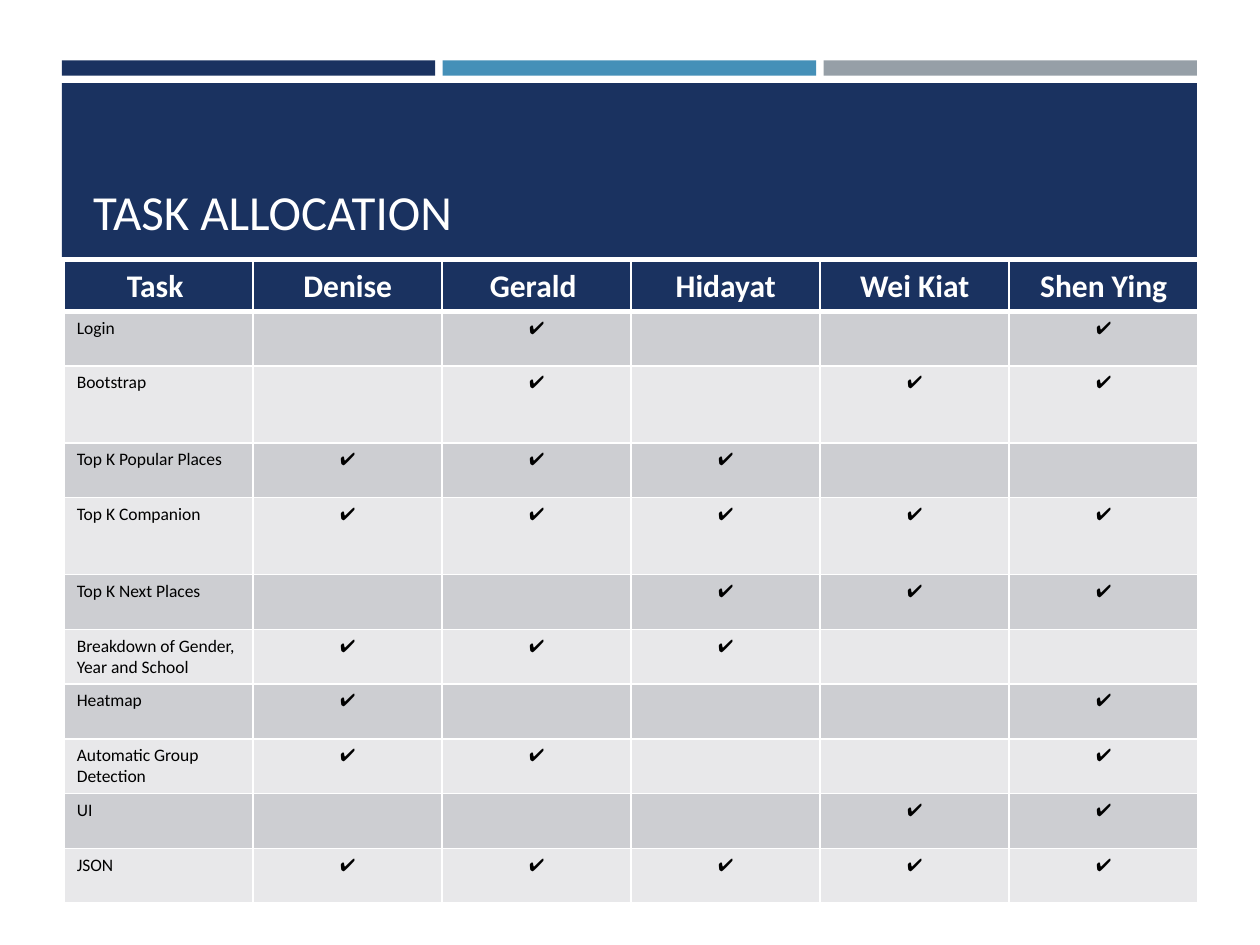
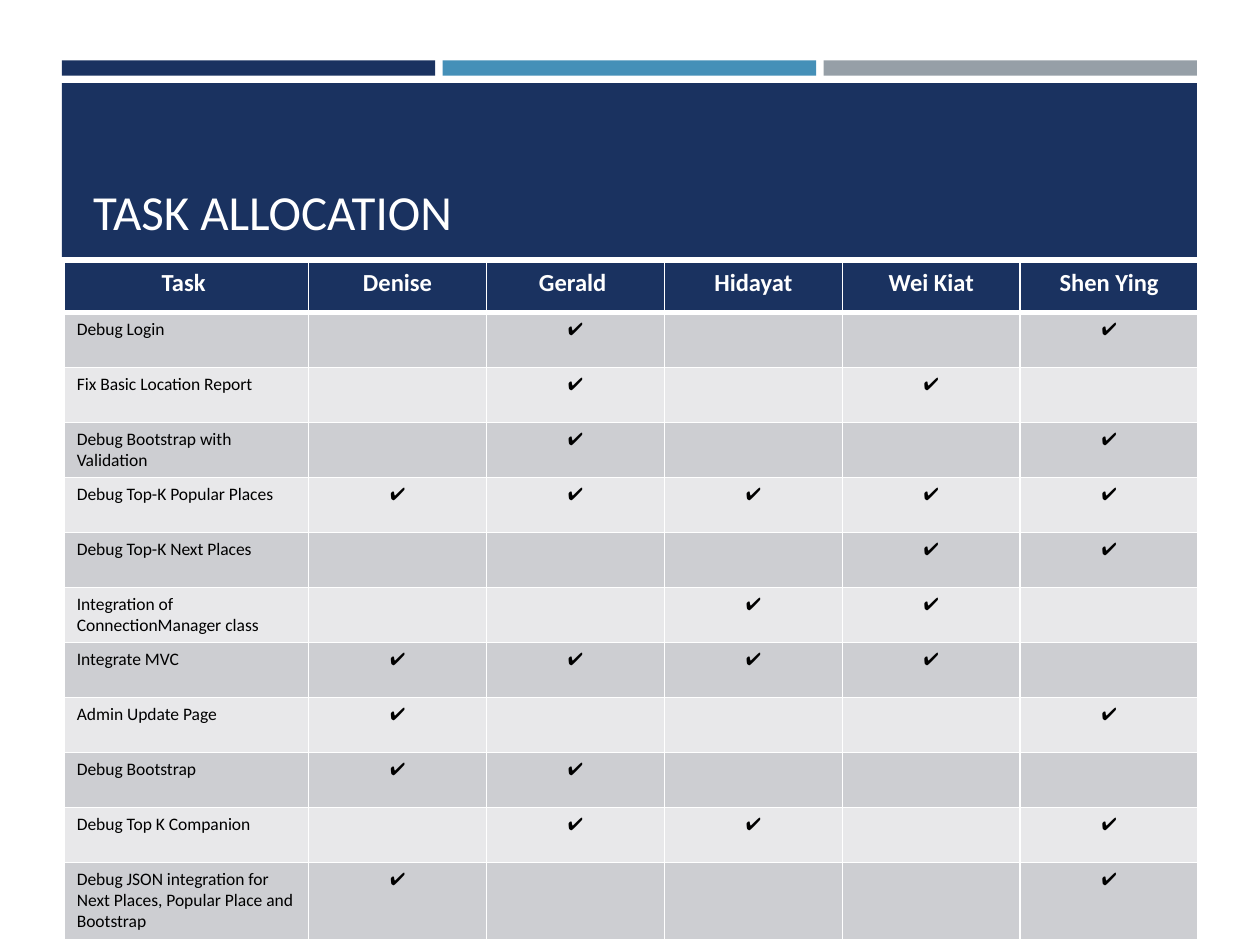
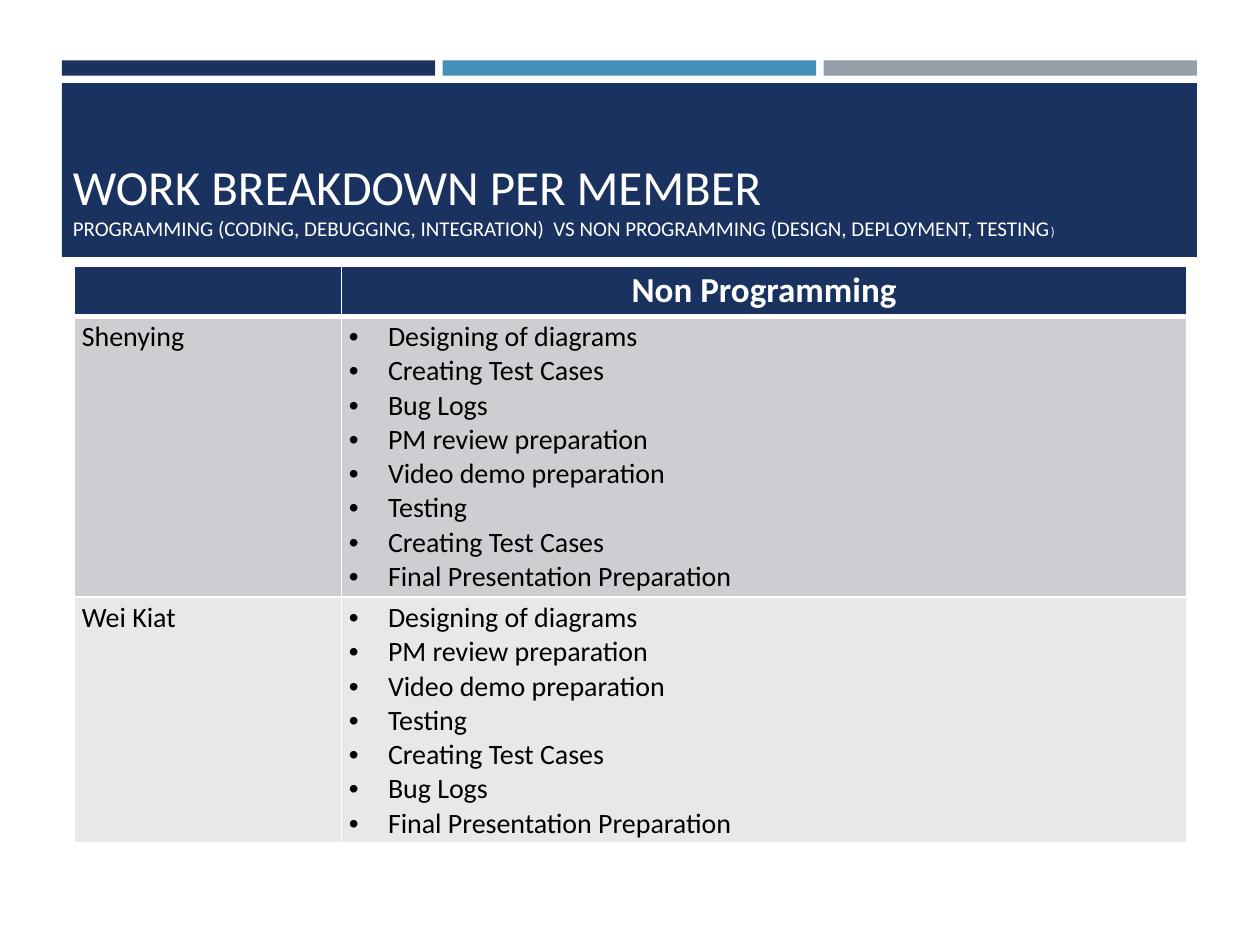
from lxml import etree
from pptx import Presentation
from pptx import util as u
from pptx.dml.color import RGBColor
from pptx.enum import shapes, text
from pptx.oxml.ns import qn

FONT = "Calibri"
NAVY, BLUE, GRAY = "1A3260", "4590B8", "969FA7"
WHITE, BLACK = "FFFFFF", "000000"
STRIPES = ("CDCED2", "E8E8EA")
BAND_LEFT, BAND_WIDTH = 0.49, 9.01
BAR_GAP = 0.06
CHECK = "✔️"
MEMBERS = ["Denise", "Gerald ", "Hidayat", "Wei Kiat", "Shen Ying"]

# Each task lists the initials of the members who worked on it.
FEATURE_TASKS = [
    ("Login", "GS"),
    ("Bootstrap", "GWS"),
    ("Top K Popular Places", "DGH"),
    ("Top K Companion", "DGHWS"),
    ("Top K Next Places", "HWS"),
    ("Breakdown of Gender, Year and School", "DGH"),
    ("Heatmap", "DS"),
    ("Automatic Group Detection", "DGS"),
    ("UI", "WS"),
    ("JSON", "DGHWS"),
]
DEBUG_TASKS = [
    ("Debug Login", "GS"),
    ("Fix Basic Location Report", "GW"),
    ("Debug Bootstrap with Validation", "GS"),
    ("Debug Top-K Popular Places", "DGHWS"),
    ("Debug Top-K Next Places", "WS"),
    ("Integration of ConnectionManager class", "HW"),
    ("Integrate MVC", "DGHW"),
    ("Admin Update Page", "DS"),
    ("Debug Bootstrap", "DG"),
    ("Debug Top K Companion", "GHS"),
    ("Debug JSON integration for Next Places, Popular Place and Bootstrap", "DS"),
]
NON_PROGRAMMING = [
    ("Shenying", ["Designing of diagrams", "Creating Test Cases", "Bug Logs",
                  "PM review preparation", "Video demo preparation", "Testing",
                  "Creating Test Cases", "Final Presentation Preparation"]),
    ("Wei Kiat", ["Designing of diagrams", "PM review preparation",
                  "Video demo preparation", "Testing", "Creating Test Cases",
                  "Bug Logs", "Final Presentation Preparation"]),
]


def color(value):
    return RGBColor.from_string(value)


def inches(values):
    return [u.Inches(value) for value in values]


def add_run(paragraph, words, size, ink, bold=False):
    run = paragraph.add_run()
    run.text = words
    run.font.name = FONT
    run.font.size = u.Pt(size)
    run.font.bold = bold
    run.font.color.rgb = color(ink)


def add_bar(slide, box, fill):
    bar = slide.shapes.add_shape(shapes.MSO_SHAPE.RECTANGLE, *inches(box))
    bar.shadow.inherit = False
    bar.fill.solid()
    bar.fill.fore_color.rgb = color(fill)
    bar.line.fill.background()


def add_title_band(slide, title_box, title_lines):
    """Draw the three bars and the band; title_lines holds lists of (words, size)."""
    bar_width = (BAND_WIDTH - 2 * BAR_GAP) / 3
    for index, fill in enumerate((NAVY, BLUE, GRAY)):
        left = BAND_LEFT + index * (bar_width + BAR_GAP)
        add_bar(slide, (left, 0.48, bar_width, 0.12), fill)
    add_bar(slide, (BAND_LEFT, 0.66, BAND_WIDTH, 1.38), NAVY)

    frame = slide.shapes.add_textbox(*inches(title_box)).text_frame
    frame.word_wrap = True
    frame.vertical_anchor = text.MSO_ANCHOR.BOTTOM
    frame.margin_bottom = u.Inches(0.02)
    paragraph = frame.paragraphs[0]
    for index, line in enumerate(title_lines):
        if index:
            paragraph.add_line_break()
        for words, size in line:
            add_run(paragraph, words, size, WHITE)


def set_borders(cell, top, bottom):
    properties = cell._tc.get_or_add_tcPr()
    for side, points in (("L", 1), ("R", 1), ("T", top), ("B", bottom)):
        line = etree.SubElement(properties, qn(f"a:ln{side}"), w=str(u.Pt(points)))
        fill = etree.SubElement(line, qn("a:solidFill"))
        etree.SubElement(fill, qn("a:srgbClr"), val=WHITE)


def add_grid(slide, left, top, widths, heights):
    """Add a table with a navy header, striped rows and white borders."""
    box = inches((left, top, sum(widths), sum(heights)))
    table = slide.shapes.add_table(len(heights), len(widths), *box).table
    for column, width in zip(table.columns, widths):
        column.width = u.Inches(width)
    for index, (row, height) in enumerate(zip(table.rows, heights)):
        row.height = u.Inches(height)
        for cell in row.cells:
            set_borders(cell, top=3 if index == 1 else 1, bottom=1 if index else 3)
            cell.fill.solid()
            fill = STRIPES[(index - 1) % 2] if index else NAVY
            cell.fill.fore_color.rgb = color(fill)
    return table


def write_cell(cell, words, size, ink=BLACK, bold=False, centered=False):
    paragraph = cell.text_frame.paragraphs[0]
    if centered:
        paragraph.alignment = text.PP_ALIGN.CENTER
    add_run(paragraph, words, size, ink, bold)


def add_task_table(slide, box, tasks, task_width, header_size, tall_rows):
    """Fill the box with tasks by member; tall_rows are indexes into tasks."""
    left, top, width, height = box
    header_height, tall_height = 0.4, 0.61
    member_width = (width - task_width) / len(MEMBERS)
    plain_height = ((height - header_height - tall_height * len(tall_rows))
                    / (len(tasks) - len(tall_rows)))
    heights = [header_height] + [
        tall_height if index in tall_rows else plain_height
        for index in range(len(tasks))]
    table = add_grid(slide, left, top,
                     [task_width] + [member_width] * len(MEMBERS), heights)

    for column, heading in enumerate(["Task "] + MEMBERS):
        write_cell(table.cell(0, column), heading, header_size, WHITE, True, True)
    for row, (task, initials) in enumerate(tasks, 1):
        write_cell(table.cell(row, 0), task, 10)
        for column, member in enumerate(MEMBERS, 1):
            if member[0] in initials:
                write_cell(table.cell(row, column), CHECK, 10, bold=True, centered=True)


def add_bullet(paragraph, words, size):
    properties = paragraph._p.get_or_add_pPr()
    indent = u.Inches(0.31)
    properties.set("marL", str(indent))
    properties.set("indent", str(-indent))
    etree.SubElement(properties, qn("a:buFont"), typeface="Arial")
    etree.SubElement(properties, qn("a:buChar"), char="•")
    add_run(paragraph, words, size, BLACK)


def add_member_table(slide, left, top):
    table = add_grid(slide, left, top, [2.12, 6.71], [0.4, 2.23, 1.95])
    for cell in table.iter_cells():
        cell.margin_left = cell.margin_right = u.Inches(0.06)
        cell.margin_top = cell.margin_bottom = u.Inches(0.03)
    write_cell(table.cell(0, 1), "Non Programming", 20, WHITE, True, True)
    for row, (member, duties) in enumerate(NON_PROGRAMMING, 1):
        write_cell(table.cell(row, 0), member, 16)
        frame = table.cell(row, 1).text_frame
        for index, duty in enumerate(duties):
            paragraph = frame.add_paragraph() if index else frame.paragraphs[0]
            add_bullet(paragraph, duty, 16)


def main():
    presentation = Presentation()
    presentation.slide_width, presentation.slide_height = inches((10, 7.5))
    features, debugging, breakdown = [
        presentation.slides.add_slide(presentation.slide_layouts[6]) for _ in range(3)]

    for slide in (features, debugging):
        add_title_band(slide, (0.64, 0.75, 8.74, 1.18), [[("TASK ALLOCATION", 28)]])
    add_task_table(features, (0.51, 2.07, 9, 5.1), FEATURE_TASKS,
                   task_width=1.5, header_size=18, tall_rows=(1, 3))
    add_task_table(debugging, (0.51, 2.08, 9, 5.38), DEBUG_TASKS,
                   task_width=1.94, header_size=14, tall_rows=(10,))

    add_title_band(breakdown, (0.48, 0.75, 8.94, 1.18), [
        [("WORK BREAKDOWN PER MEMBER", 28)],
        [("PROGRAMMING (CODING, DEBUGGING, INTEGRATION)  VS NON PROGRAMMING "
          "(DESIGN, DEPLOYMENT, TESTING", 12), (")", 7.3)],
    ])
    add_member_table(breakdown, 0.59, 2.11)
    presentation.save("out.pptx")


if __name__ == "__main__":
    main()
